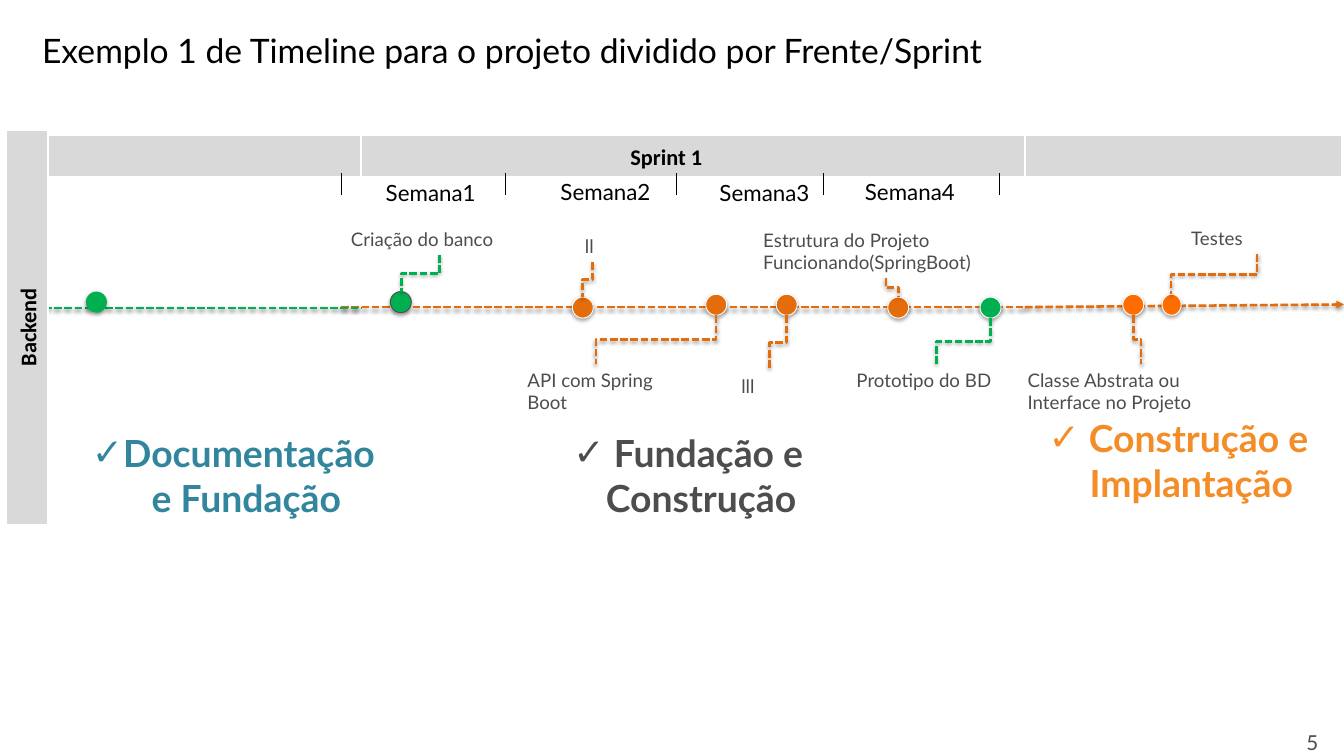
from dataclasses import dataclass

from lxml import etree
from pptx import Presentation
from pptx.dml.color import RGBColor
from pptx.enum.dml import MSO_LINE
from pptx.enum.shapes import MSO_CONNECTOR, MSO_SHAPE
from pptx.enum.text import MSO_ANCHOR, MSO_AUTO_SIZE, PP_ALIGN
from pptx.oxml.ns import qn
from pptx.util import Pt

BLACK = RGBColor(0x00, 0x00, 0x00)
WHITE = RGBColor(0xFF, 0xFF, 0xFF)
GRAY = RGBColor(0x4D, 0x4D, 0x4D)
BAND_GRAY = RGBColor(0xD9, 0xD9, 0xD9)
ORANGE = RGBColor(0xE4, 0x6C, 0x0A)
BRIGHT_ORANGE = RGBColor(0xFF, 0x6D, 0x00)
AMBER = RGBColor(0xF4, 0x8D, 0x27)
GREEN = RGBColor(0x00, 0xB0, 0x50)
TEAL = RGBColor(0x31, 0x85, 0x9C)

DASHED = MSO_LINE.SQUARE_DOT
STRAIGHT, ELBOW = MSO_CONNECTOR.STRAIGHT, MSO_CONNECTOR.ELBOW
OVAL, RECTANGLE = MSO_SHAPE.OVAL, MSO_SHAPE.RECTANGLE
TOP, MIDDLE = MSO_ANCHOR.TOP, MSO_ANCHOR.MIDDLE
LEFT, CENTER = PP_ALIGN.LEFT, PP_ALIGN.CENTER
FIXED, GROW = MSO_AUTO_SIZE.NONE, MSO_AUTO_SIZE.SHAPE_TO_FIT_TEXT

DOT_SIZE = 16.56
LABEL_HEIGHT = 25.2
TALL_LABEL_HEIGHT = 43.2
TICK_TOP, TICK_BOTTOM = 136.5, 153.4
BAND_TOP, BAND_HEIGHT = 106.6, 33.1


@dataclass(frozen=True)
class Line:
    start_x: float
    start_y: float
    end_x: float
    end_y: float
    color: RGBColor = ORANGE
    arrow: bool = False


@dataclass(frozen=True)
class Milestone:
    left: float
    top: float
    color: RGBColor
    outline: RGBColor | None = WHITE
    width: float = DOT_SIZE


@dataclass(frozen=True)
class Band:
    left: float
    top: float
    width: float
    text: str = ""
    rotation: float = 0


@dataclass(frozen=True)
class Label:
    text: str
    left: float
    top: float
    width: float
    height: float = LABEL_HEIGHT


@dataclass(frozen=True)
class Goal:
    text: str
    left: float
    top: float
    width: float
    color: RGBColor


AXES = [
    Line(807.1, 241.9, 1058.4, 239.8, arrow=True),
    Line(268.6, 241.9, 805.7, 241.9),
    Line(34.6, 242.6, 284.4, 242.6, GREEN),
]
LINKS = [
    Line(563.8, 248.4, 469.4, 286.6),
    Line(466.6, 206.6, 458.6, 234),
    Line(619.2, 248.4, 606.2, 291.6),
    Line(990, 200.2, 922.3, 231.8),
    Line(892.8, 248.4, 898.6, 286.6),
    Line(697.7, 218.9, 707.8, 234),
    Line(779.8, 250.6, 737.3, 287.3, GREEN),
    Line(346.3, 200.9, 316.1, 229.7, GREEN),
]
MILESTONES = [
    Milestone(67.7, 229.7, GREEN, None),
    Milestone(307.4, 229.7, GREEN, GRAY),
    Milestone(450.7, 234, ORANGE),
    Milestone(555.8, 231.8, ORANGE),
    Milestone(611.3, 231.8, ORANGE),
    Milestone(699.1, 234, ORANGE),
    Milestone(771.8, 234, GREEN),
    Milestone(884.2, 231.8, BRIGHT_ORANGE),
    Milestone(915.1, 231.8, BRIGHT_ORANGE, width=15.1),
]
BANDS = [
    Band(242.6, BAND_TOP, 564.5, "Sprint 1"),
    Band(807.1, BAND_TOP, 249.8),
    Band(34.6, BAND_TOP, 249.8),
    Band(-133.9, 241.2, 311, "Backend", 270),
]
LABELS = [
    Label("Criação do banco", 269.3, 175.7, 153.4),
    Label("ll", 453.6, 181.4, 26.6),
    Label("Estrutura do Projeto Funcionando(SpringBoot)", 594, 176.4, 206.6, TALL_LABEL_HEIGHT),
    Label("Testes", 931, 175, 118.8),
    Label("API com Spring Boot", 408.2, 286.6, 121, TALL_LABEL_HEIGHT),
    Label("lll", 576.7, 291.6, 59),
    Label("Prototipo do BD", 667.4, 287.3, 140.4),
    Label("Classe Abstrata ou Interface no Projeto", 802.1, 286.6, 193, TALL_LABEL_HEIGHT),
]
WEEK_POSITIONS = [(303.8, 135.4), (441.4, 134.6), (566.6, 136.1), (681.1, 134.6)]
TICKS = [268.6, 398.2, 532.8, 648.7, 787]
GOALS = [
    Goal("Documentação e Fundação", 59, 335.5, 249.8, TEAL),
    Goal(" Fundação e Construção", 411.8, 335.5, 260.6, GRAY),
    Goal(" Construção e Implantação", 797.8, 323.3, 260.6, AMBER),
]


def write_text(shape, text: str, *, size: float, color: RGBColor = BLACK, font: str = "Lato",
               bold: bool = False, align=LEFT, anchor=TOP, wrap: bool = True, fit=FIXED,
               inset: bool = True, before: float = 0, after: float = 0,
               spacing: float | None = None):
    frame = shape.text_frame
    frame.word_wrap, frame.auto_size, frame.vertical_anchor = wrap, fit, anchor
    frame.margin_left = frame.margin_right = Pt(7.2 if inset else 0)
    frame.margin_top = frame.margin_bottom = Pt(3.6 if inset else 0)
    paragraph = frame.paragraphs[0]
    paragraph.alignment = align
    paragraph.space_before, paragraph.space_after = Pt(before), Pt(after)
    if spacing:
        paragraph.line_spacing = Pt(spacing)
    run = paragraph.add_run()
    run.text = text
    run.font.name, run.font.size, run.font.bold = font, Pt(size), bold
    run.font.color.rgb = color
    return paragraph


def place(shape, left: float, top: float, width: float, height: float) -> None:
    shape.left, shape.top, shape.width, shape.height = Pt(left), Pt(top), Pt(width), Pt(height)


def add_text(slide, label: Label, **text_format) -> None:
    box = slide.shapes.add_textbox(Pt(label.left), Pt(label.top), Pt(label.width), Pt(label.height))
    write_text(box, label.text, **text_format)


def add_effects(shape, opacity: int = 0, distance: float = 0) -> None:
    effects = etree.SubElement(shape.element.spPr, qn("a:effectLst"))
    if opacity:
        shadow = etree.SubElement(effects, qn("a:outerShdw"), blurRad=str(Pt(3.1)),
                                  dist=str(Pt(distance)), dir="5400000", rotWithShape="0")
        color = etree.SubElement(shadow, qn("a:srgbClr"), val=str(BLACK))
        etree.SubElement(color, qn("a:alpha"), val=str(opacity * 1000))


def add_line(slide, line: Line, kind=STRAIGHT, width: float = 2, dashed: bool = True):
    connector = slide.shapes.add_connector(kind, Pt(line.start_x), Pt(line.start_y),
                                           Pt(line.end_x), Pt(line.end_y))
    connector.line.color.rgb = line.color
    connector.line.width = Pt(width)
    if dashed:
        connector.line.dash_style = DASHED
    if line.arrow:
        etree.SubElement(connector.element.spPr.find(qn("a:ln")), qn("a:tailEnd"), type="triangle")
    add_effects(connector, 38 if dashed else 0, 1.6)
    return connector


def add_link(slide, link: Line) -> None:
    center_x, center_y = (link.start_x + link.end_x) / 2, (link.start_y + link.end_y) / 2
    half_run, half_drop = (link.end_x - link.start_x) / 2, (link.end_y - link.start_y) / 2
    unrotated = Line(center_x - half_drop, center_y + half_run,
                     center_x + half_drop, center_y - half_run, link.color)
    connector = add_line(slide, unrotated, ELBOW)
    connector.element.spPr.find(qn("a:xfrm")).set("rot", "5400000")


def add_milestone(slide, milestone: Milestone) -> None:
    dot = slide.shapes.add_shape(OVAL, Pt(milestone.left), Pt(milestone.top),
                                 Pt(milestone.width), Pt(DOT_SIZE))
    dot.fill.solid()
    dot.fill.fore_color.rgb = milestone.color
    if milestone.outline is None:
        dot.line.fill.background()
    else:
        dot.line.color.rgb = milestone.outline
        dot.line.width = Pt(0.75)
    add_effects(dot, 35, 1.8)


def add_band(slide, band: Band) -> None:
    shape = slide.shapes.add_shape(RECTANGLE, Pt(band.left), Pt(band.top),
                                   Pt(band.width), Pt(BAND_HEIGHT))
    shape.shadow.inherit = False
    shape.rotation = band.rotation
    shape.fill.solid()
    shape.fill.fore_color.rgb = BAND_GRAY
    shape.line.color.rgb = WHITE
    shape.line.width = Pt(1.5)
    if band.text:
        write_text(shape, band.text, size=17.6, font="Calibri", bold=True,
                   align=CENTER, anchor=MIDDLE, wrap=False)


def fill_goal(placeholder, goal: Goal) -> None:
    place(placeholder, goal.left, goal.top, goal.width, 78.5)
    paragraph = write_text(placeholder, goal.text, size=29.4, color=goal.color, bold=True,
                           align=CENTER, fit=GROW)
    properties = paragraph._p.get_or_add_pPr()
    properties.set("marL", str(Pt(20.2)))
    properties.set("indent", str(-Pt(20.2)))
    etree.SubElement(properties, qn("a:buChar"), char="✓")


def main() -> None:
    presentation = Presentation()
    presentation.slide_width, presentation.slide_height = Pt(1058.4), Pt(595.44)
    slide = presentation.slides.add_slide(presentation.slide_layouts.get_by_name("Comparison"))
    title, *bodies = slide.placeholders
    place(title, 33.1, 23.8, 958.3, 32.4)
    write_text(title, "Exemplo 1 de Timeline para o projeto dividido por Frente/Sprint",
               size=26.5, inset=False, after=8.8, fit=GROW)
    for body, goal in zip(bodies, GOALS):
        fill_goal(body, goal)
    for unused in bodies[len(GOALS):]:
        unused.element.getparent().remove(unused.element)
    for axis in AXES:
        add_line(slide, axis)
    for milestone in MILESTONES:
        add_milestone(slide, milestone)
    for link in LINKS:
        add_link(slide, link)
    for band in BANDS:
        add_band(slide, band)
    for label in LABELS:
        add_text(slide, label, size=14.7, color=GRAY, fit=GROW)
    for tick in TICKS:
        add_line(slide, Line(tick, TICK_TOP, tick, TICK_BOTTOM, BLACK), width=0.75, dashed=False)
    for number, (left, top) in enumerate(WEEK_POSITIONS, 1):
        add_text(slide, Label(f"Semana{number}", left, top, 38.2, 25.9), size=17.6,
                 inset=False, wrap=False, before=11.8, spacing=26.5)
    add_text(slide, Label("5", 1021.7, 571, 36, 24), size=16.2, color=GRAY)
    presentation.save("out.pptx")


if __name__ == "__main__":
    main()
